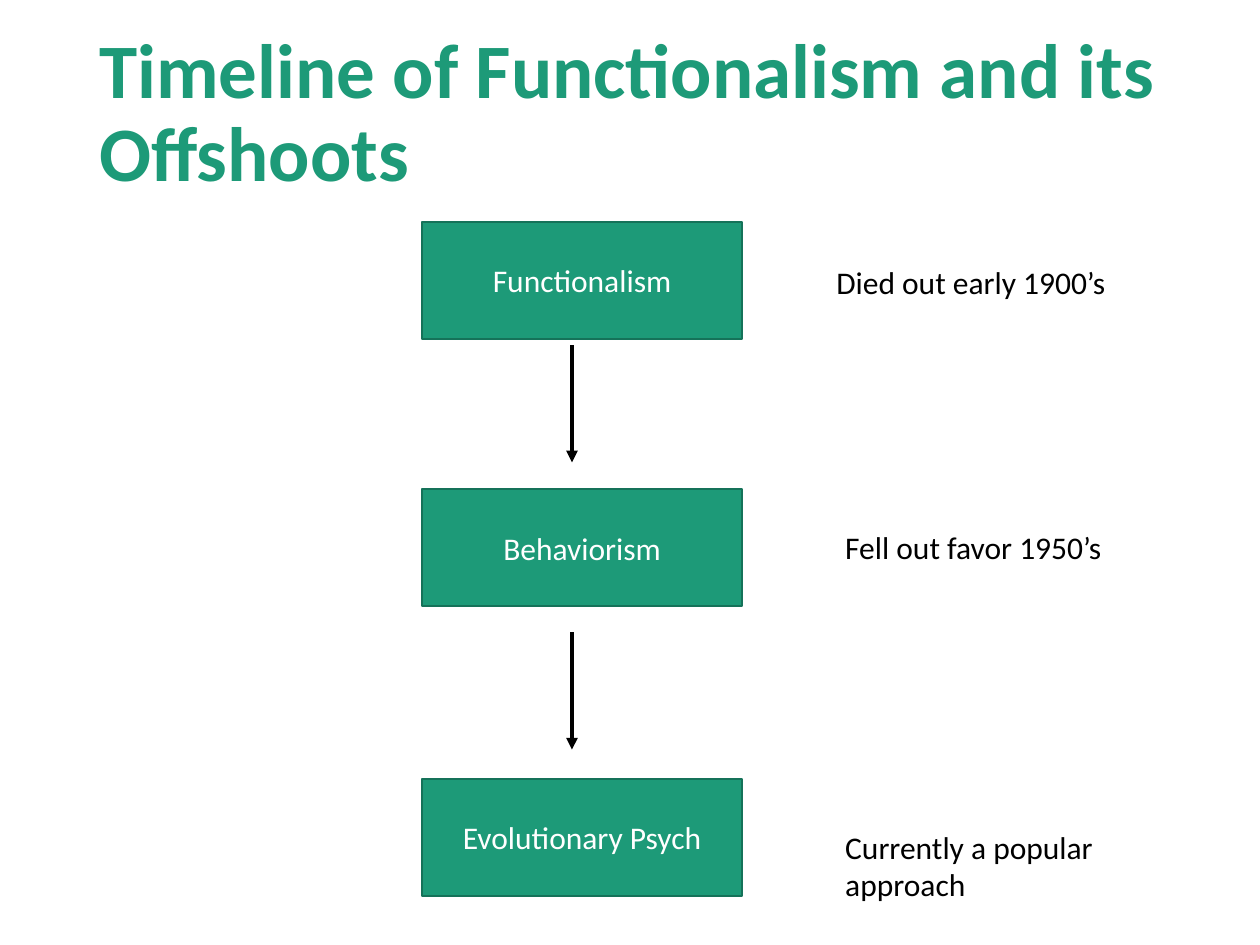
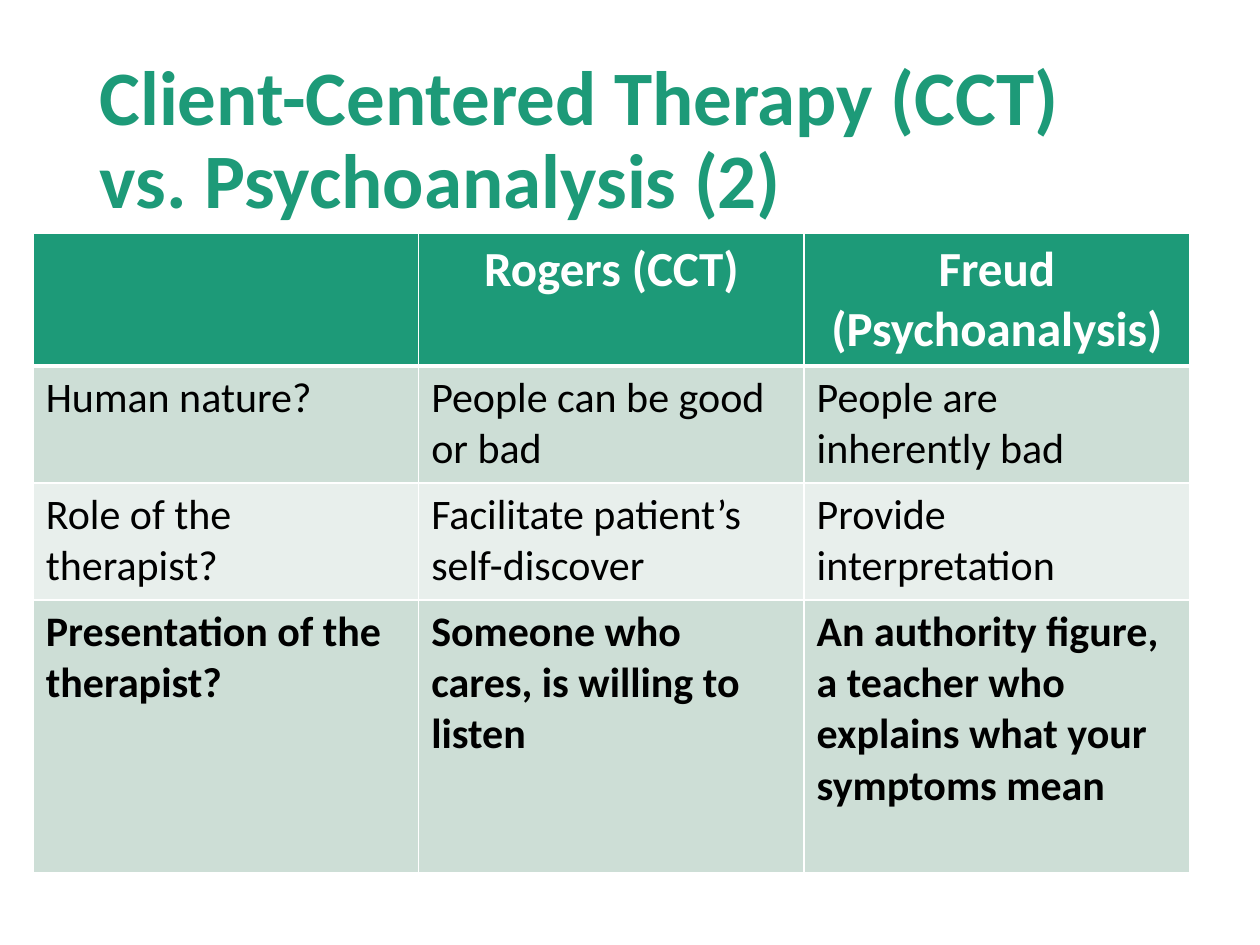
from dataclasses import dataclass

from lxml.etree import SubElement
from pptx import Presentation
from pptx.dml.color import RGBColor as Rgb
from pptx.enum.shapes import MSO_CONNECTOR as Link, MSO_SHAPE as Form
from pptx.enum.text import MSO_ANCHOR as Anchor, MSO_AUTO_SIZE as Fit, PP_ALIGN as Align
from pptx.oxml.ns import qn
from pptx.util import Cm, Pt


@dataclass(frozen=True)
class Theme:
    font: str = "Calibri"
    green: str = "1D9A78"
    edge: str = "157259"
    dark: str = "CDDED6"
    light: str = "E8EFEC"
    white: str = "FFFFFF"
    black: str = "000000"
    title: int = 44
    head: int = 28
    cell: int = 24
    label: int = 18


class Deck:
    def __init__(self, theme):
        self.theme = theme
        self.file = Presentation()
        self.file.slide_width, self.file.slide_height = Cm(25.4), Cm(19.05)
        self.slide = None

    def page(self, title, top):
        """Start a title-only slide."""
        self.slide = self.file.slides.add_slide(self.file.slide_layouts[5])
        shape = self.slide.shapes.title
        shape.left, shape.top, shape.width, shape.height = Cm(1.75), Cm(top), Cm(21.9), Cm(3.68)
        frame = shape.text_frame
        frame.auto_size, frame.vertical_anchor = Fit.NONE, Anchor.MIDDLE
        self.label(frame, title, self.theme.title, self.theme.green, bold=True)
        frame.paragraphs[0].line_spacing = 0.9

    def label(self, frame, text, size, color, align=Align.LEFT, bold=False):
        frame.word_wrap = True
        para = frame.paragraphs[0]
        para.alignment = align
        run = para.add_run()
        run.text = text
        font = run.font
        font.name, font.size, font.bold = self.theme.font, Pt(size), bold
        font.color.rgb = Rgb.from_string(color)

    def box(self, text, left, top, width, height):
        look = self.theme
        shape = self.slide.shapes.add_shape(
            Form.RECTANGLE, Cm(left), Cm(top), Cm(width), Cm(height))
        shape.shadow.inherit = False
        shape.fill.solid()
        shape.fill.fore_color.rgb = Rgb.from_string(look.green)
        shape.line.color.rgb = Rgb.from_string(look.edge)
        shape.line.width = Pt(1)
        shape.text_frame.vertical_anchor = Anchor.MIDDLE
        self.label(shape.text_frame, text, look.label, look.white, Align.CENTER)

    def note(self, text, left, top, width, height):
        frame = self.slide.shapes.add_textbox(
            Cm(left), Cm(top), Cm(width), Cm(height)).text_frame
        self.label(frame, text, self.theme.label, self.theme.black)
        frame.auto_size = Fit.SHAPE_TO_FIT_TEXT

    def arrow(self, x, top, length):
        """Draw a downward arrow."""
        line = self.slide.shapes.add_connector(
            Link.STRAIGHT, Cm(x), Cm(top), Cm(x), Cm(top + length))
        line.line.color.rgb = Rgb.from_string(self.theme.black)
        line.line.width = Pt(2.25)
        props = line._element.spPr
        SubElement(props.find(qn("a:ln")), qn("a:tailEnd"), type="triangle")
        SubElement(props, qn("a:effectLst"))

    def border(self, cell, side, width):
        props = cell._tc.get_or_add_tcPr()
        line = SubElement(props, qn(f"a:ln{side}"), w=str(Pt(width)))
        fill = SubElement(line, qn("a:solidFill"))
        SubElement(fill, qn("a:srgbClr"), val=self.theme.white)

    def table(self, rows, left, top, width, heights):
        """Draw a grid with a header row and a bold last row."""
        look = self.theme
        count = len(rows[0])
        grid = self.slide.shapes.add_table(
            len(rows), count, Cm(left), Cm(top), Cm(width * count), Cm(sum(heights))).table
        for col in grid.columns:
            col.width = Cm(width)
        for r, (texts, height) in enumerate(zip(rows, heights)):
            grid.rows[r].height = Cm(height)
            head, last = r == 0, r == len(rows) - 1
            back = look.green if head else look.dark if r % 2 else look.light
            for c, text in enumerate(texts):
                cell = grid.cell(r, c)
                rule = {"L": 1, "R": 1, "T": 3 if r == 1 else 1, "B": 3 if head else 1}
                for side, weight in rule.items():
                    self.border(cell, side, weight)
                cell.fill.solid()
                cell.fill.fore_color.rgb = Rgb.from_string(back)
                if text and head:
                    self.label(cell.text_frame, text, look.head, look.white, Align.CENTER, True)
                elif text:
                    self.label(cell.text_frame, text, look.cell, look.black, bold=last)


def main():
    deck = Deck(Theme())

    deck.page("Timeline of Functionalism and its Offshoots", 0.48)
    tall = 2.36
    schools = [("Functionalism", 4.47), ("Behaviorism", 9.86), ("Evolutionary Psych", 15.7)]
    for name, top in schools:
        deck.box(name, 8.51, top, 6.45, tall)
    for top in (6.96, 12.75):
        deck.arrow(11.53, top, tall)
    fates = [
        ("Died out early 1900’s", 16.61, 5.18, 1.02),
        ("Fell out favor 1950’s", 16.79, 10.52, 1.02),
        ("Currently a popular approach", 16.79, 16.56, 1.8),
    ]
    for text, left, top, height in fates:
        deck.note(text, left, top, 6.17, height)

    deck.page("Client-Centered Therapy (CCT) vs. Psychoanalysis (2)", 1.02)
    views = [
        ("", "Rogers (CCT)", "Freud (Psychoanalysis)"),
        ("Human nature?", "People can be good or bad", "People are inherently bad"),
        ("Role of the therapist?", "Facilitate patient’s self-discover",
         "Provide interpretation"),
        ("Presentation of the therapist?", "Someone who cares, is willing to listen",
         "An authority figure, a teacher who explains what your symptoms mean"),
    ]
    deck.table(views, 0.67, 4.71, 7.77, [tall, tall, tall, 5.5])

    deck.file.save("out.pptx")


if __name__ == "__main__":
    main()
